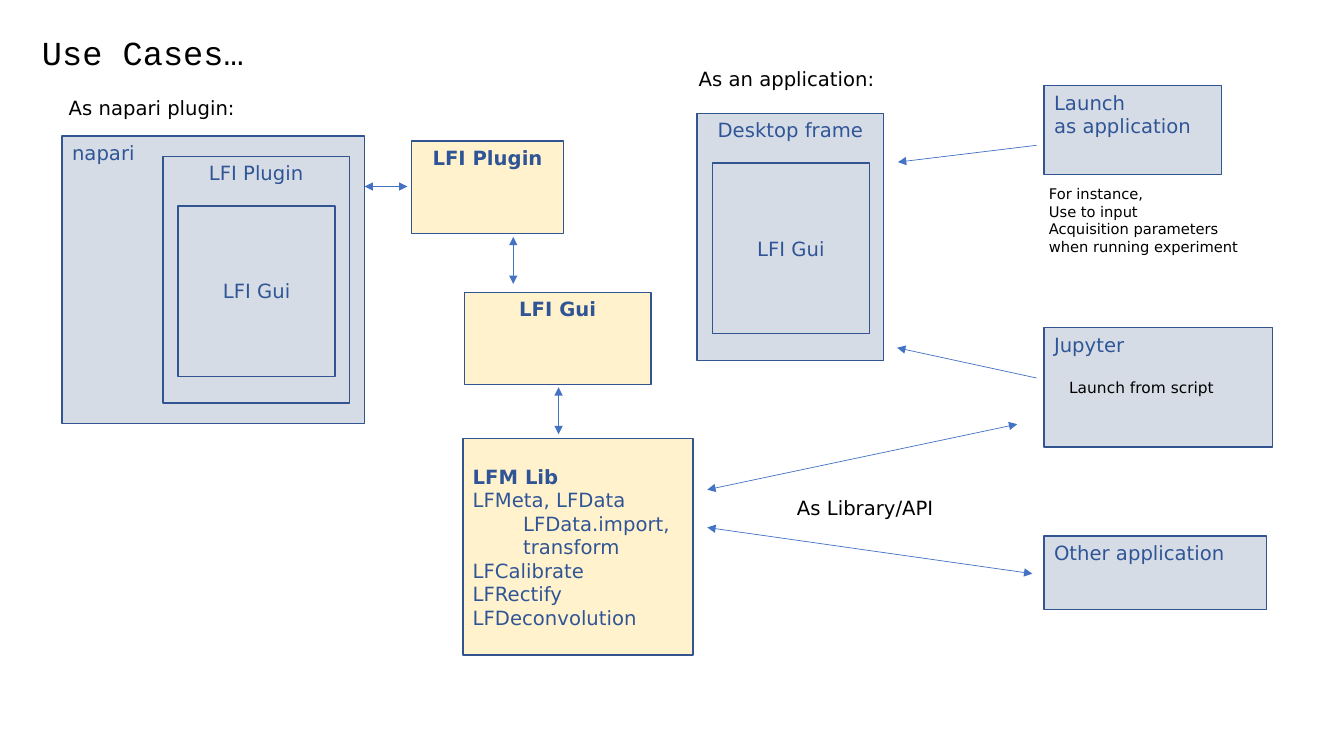
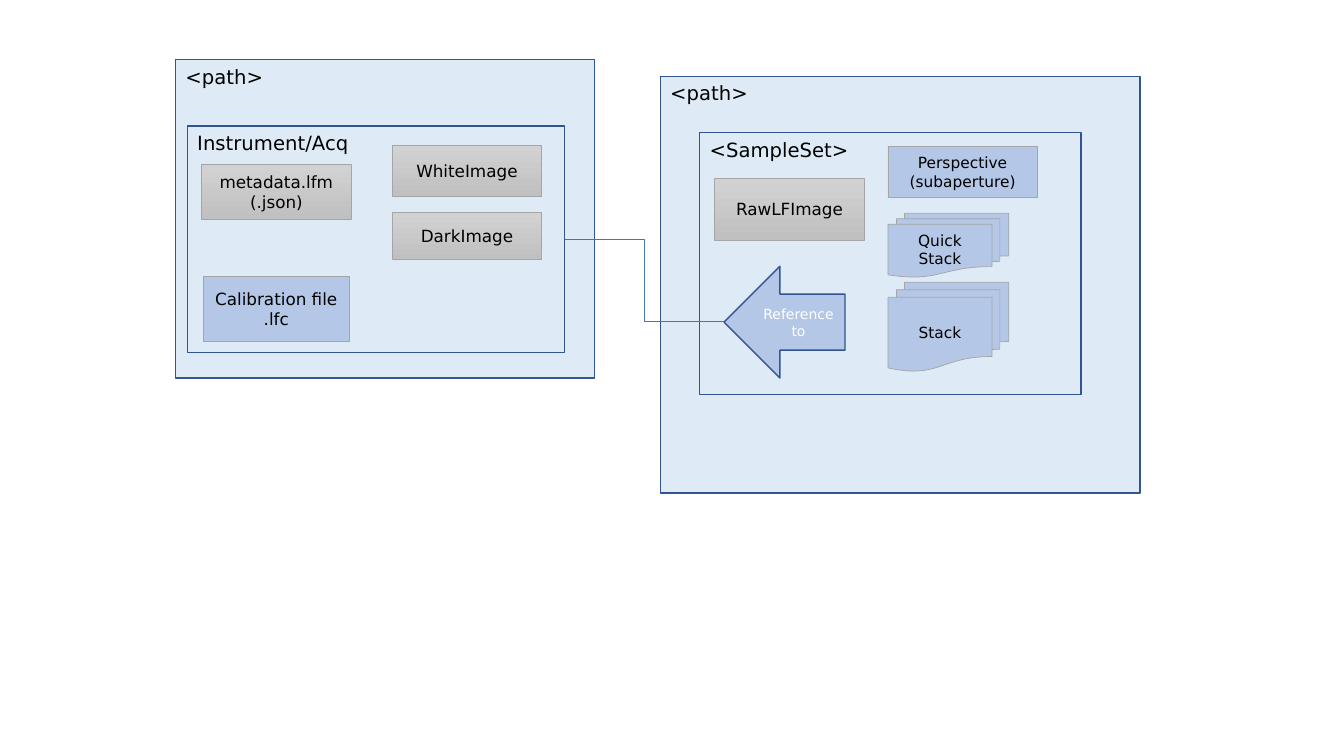
from dataclasses import dataclass

import lxml.etree
import pptx
import pptx.dml.color
import pptx.enum.shapes
import pptx.enum.text
import pptx.oxml.ns
import pptx.presentation
import pptx.shapes.autoshape
import pptx.slide
import pptx.text.text
import pptx.util

SLIDE_WIDTH = pptx.util.Inches(13.33)
SLIDE_HEIGHT = pptx.util.Inches(7.5)
COLUMNS, ROWS = 160, 90

BODY_FONT, TITLE_FONT = "DejaVu Sans", "Courier New"
BLACK, WHITE, NAVY = "000000", "FFFFFF", "2F5597"
OUTLINE, ARROW, CARD_EDGE = "325491", "4472C4", "A5A5A5"
GREY_BLUE, CREAM, PALE_BLUE, MID_BLUE = "D6DCE5", "FFF2CC", "DEEBF7", "B4C7E7"
GREY_GRADIENT = ("D2D2D2", "C0C0C0")

Preset = pptx.enum.shapes.MSO_SHAPE
Link = pptx.enum.shapes.MSO_CONNECTOR
Align = pptx.enum.text.PP_ALIGN
Anchor = pptx.enum.text.MSO_ANCHOR


@dataclass(frozen=True)
class Area:
    """A rectangle in grid columns and rows."""
    column: float
    row: float
    columns: float
    rows: float

    def lengths(self) -> tuple[int, int, int, int]:
        return (across(self.column), down(self.row),
                across(self.columns), down(self.rows))


@dataclass(frozen=True)
class Box:
    text: str
    area: Area
    fill: str | tuple[str, str] | None = GREY_BLUE
    color: str = NAVY
    size: float = 14
    bold: bool = False
    centered: bool = False
    middle: bool = False
    edge: str = OUTLINE
    edge_width: float = 1
    preset: Preset = Preset.RECTANGLE


@dataclass(frozen=True)
class Label:
    text: str
    area: Area
    size: float = 14


@dataclass(frozen=True)
class Arrow:
    start: tuple[float, float]
    end: tuple[float, float]
    heads: tuple[str, ...] = ("headEnd", "tailEnd")
    kind: Link = Link.STRAIGHT


def across(columns: float) -> int:
    return round(SLIDE_WIDTH * columns / COLUMNS)


def down(rows: float) -> int:
    return round(SLIDE_HEIGHT * rows / ROWS)


def rgb(value: str) -> pptx.dml.color.RGBColor:
    return pptx.dml.color.RGBColor.from_string(value)


def write(frame: pptx.text.text.TextFrame, text: str, *, size: float,
          color: str = BLACK, font: str = BODY_FONT, bold: bool = False,
          align: Align = Align.LEFT, anchor: Anchor = Anchor.TOP,
          wrap: bool = True, spacing: float | None = None) -> None:
    """Write one paragraph per line; a leading tab indents the paragraph."""
    frame.word_wrap = wrap
    frame.vertical_anchor = anchor
    for index, line in enumerate(text.split("\n")):
        paragraph = frame.add_paragraph() if index else frame.paragraphs[0]
        paragraph.alignment = align
        paragraph.line_spacing = spacing
        if line.startswith("\t"):
            paragraph.level = 1
            properties = paragraph._p.get_or_add_pPr()
            properties.set("marL", str(pptx.util.Inches(0.5)))
            properties.set("indent", "0")
        run = paragraph.add_run()
        run.text = line.strip("\t")
        run.font.name = font
        run.font.size = pptx.util.Pt(size)
        run.font.bold = bold
        run.font.color.rgb = rgb(color)


def paint(shape: pptx.shapes.autoshape.Shape,
          fill: str | tuple[str, str] | None) -> None:
    if fill is None:
        shape.fill.background()
    elif isinstance(fill, str):
        shape.fill.solid()
        shape.fill.fore_color.rgb = rgb(fill)
    else:
        shape.fill.gradient()
        shape.fill.gradient_angle = 270
        for stop, color in zip(shape.fill.gradient_stops, fill):
            stop.color.rgb = rgb(color)


def draw_box(slide: pptx.slide.Slide, box: Box) -> pptx.shapes.autoshape.Shape:
    shape = slide.shapes.add_shape(box.preset, *box.area.lengths())
    shape.shadow.inherit = False
    paint(shape, box.fill)
    shape.line.color.rgb = rgb(box.edge)
    shape.line.width = pptx.util.Pt(box.edge_width)
    write(shape.text_frame, box.text, size=box.size, color=box.color,
          bold=box.bold, align=Align.CENTER if box.centered else Align.LEFT,
          anchor=Anchor.MIDDLE if box.middle else Anchor.TOP)
    return shape


def draw_label(slide: pptx.slide.Slide, label: Label) -> None:
    frame = slide.shapes.add_textbox(*label.area.lengths()).text_frame
    write(frame, label.text, size=label.size, wrap=False)
    frame.auto_size = pptx.enum.text.MSO_AUTO_SIZE.SHAPE_TO_FIT_TEXT


def draw_arrow(slide: pptx.slide.Slide, arrow: Arrow) -> None:
    (left, top), (right, bottom) = arrow.start, arrow.end
    connector = slide.shapes.add_connector(
        arrow.kind, across(left), down(top), across(right), down(bottom))
    connector.line.color.rgb = rgb(ARROW)
    connector.line.width = pptx.util.Pt(0.5)
    qualified = pptx.oxml.ns.qn
    properties = connector._element.spPr
    line = properties.find(qualified("a:ln"))
    for head in arrow.heads:
        lxml.etree.SubElement(line, qualified(f"a:{head}"), type="triangle")
    lxml.etree.SubElement(properties, qualified("a:effectLst"))


def gui_frame(title: str, column: float, row: float) -> list[Box]:
    """A titled frame that holds the GUI."""
    return [
        Box(title, Area(column, row, 22.2, 29.4), centered=True),
        Box("LFI Gui", Area(column + 1.8, row + 5.9, 18.7, 20.3),
            centered=True, middle=True),
    ]


def module(text: str, area: Area) -> Box:
    return Box(text, area, fill=CREAM, bold=True, centered=True)


def folder(text: str, area: Area, fill: str | None = PALE_BLUE) -> Box:
    return Box(text, area, fill=fill, color=BLACK)


def card(text: str, area: Area, fill: str | tuple[str, str] = GREY_GRADIENT,
         size: float = 12, preset: Preset = Preset.RECTANGLE) -> Box:
    return Box(text, area, fill=fill, color=BLACK, size=size, centered=True,
               middle=True, edge=CARD_EDGE, edge_width=0.5, preset=preset)


CLIENT_COLUMN = 124.3
USE_CASE_BOXES = [
    Box("napari", Area(7.4, 16.2, 36, 34.2)),
    *gui_frame("LFI Plugin", 19.4, 18.6),
    *gui_frame("Desktop frame", 83, 13.5),
    module("LFI Plugin", Area(49, 16.8, 18.1, 11)),
    module("LFI Gui", Area(55.3, 34.8, 22.2, 11)),
    Box("Launch\nas application", Area(CLIENT_COLUMN, 10.2, 21.1, 10.6)),
    Box("Jupyter", Area(CLIENT_COLUMN, 39, 27.2, 14.2)),
    Box("Other application", Area(CLIENT_COLUMN, 63.8, 26.5, 8.8)),
]
LIBRARY = Box(
    "LFM Lib\nLFMeta, LFData\n\tLFData.import, transform\n"
    "LFCalibrate\nLFRectify\nLFDeconvolution",
    Area(55.1, 52.2, 27.4, 25.8), fill=CREAM, middle=True)
USE_CASE_LABELS = [
    Label("As napari plugin:", Area(7, 10.8, 22.7, 4.1)),
    Label("As an application:", Area(82, 7.4, 23.6, 4.1)),
    Label("As Library/API", Area(93.7, 58.4, 19.4, 4.1)),
    Label("For instance,\nUse to input\nAcquisition parameters\n"
          "when running experiment", Area(123.7, 21.4, 25.3, 9.7), 10.5),
    Label("Launch from script", Area(126.1, 44.4, 20.6, 3.5), 11),
]
USE_CASE_ARROWS = [
    Arrow((123.4, 45), (106.8, 41.4), ("tailEnd",)),
    Arrow((123.4, 17.3), (106.9, 19.3), ("tailEnd",)),
    Arrow((84.2, 58.3), (121.1, 50.5)),
    Arrow((84.2, 62.8), (122.9, 68.3)),
    Arrow((66.5, 46.1), (66.5, 51.7)),
    Arrow((61.1, 28.2), (61.1, 33.8)),
    Arrow((48.5, 22.2), (43.4, 22.2)),
]

IMAGE_COLUMN, RESULT_COLUMN, CARD_COLUMNS = 46.7, 105.7, 17.8
FOLDER_BOXES = [
    folder("<path>", Area(78.6, 9.1, 57.1, 49.6)),
    folder("<path>", Area(20.9, 7.1, 49.9, 37.9)),
    folder("Instrument/Acq", Area(22.3, 15, 44.9, 27), fill=None),
    card("metadata.lfm\n(.json)", Area(24, 19.6, CARD_COLUMNS, 6.5)),
    card("WhiteImage", Area(IMAGE_COLUMN, 17.3, CARD_COLUMNS, 6.1)),
    card("DarkImage", Area(IMAGE_COLUMN, 25.3, CARD_COLUMNS, 5.6)),
    card("Calibration file\n.lfc", Area(24.2, 32.9, 17.4, 7.8), MID_BLUE),
    folder("<SampleSet>", Area(83.3, 15.8, 45.4, 31.2)),
    card("RawLFImage", Area(85.1, 21.2, CARD_COLUMNS, 7.4)),
    card("Perspective\n(subaperture)",
         Area(RESULT_COLUMN, 17.4, CARD_COLUMNS, 6.1), MID_BLUE, 11),
    card("Stack", Area(RESULT_COLUMN, 33.6, 14.4, 10.6), MID_BLUE, 11,
         Preset.FLOWCHART_MULTIDOCUMENT),
    card("Quick Stack", Area(RESULT_COLUMN, 25.4, 14.4, 7.6), MID_BLUE, 11,
         Preset.FLOWCHART_MULTIDOCUMENT),
    Box("Reference to", Area(86.2, 31.7, 14.4, 13.3), fill=MID_BLUE,
        color=WHITE, size=10, centered=True, middle=True,
        preset=Preset.LEFT_ARROW),
]
REFERENCE = Arrow((86.2, 38.3), (67.3, 28.5), (), Link.ELBOW)


def add_use_cases(presentation: pptx.presentation.Presentation) -> None:
    slide = presentation.slides.add_slide(presentation.slide_layouts[5])
    title = slide.shapes.title
    title.left, title.top, title.width, title.height = Area(
        3.8, 2.9, 68.9, 7.2).lengths()
    write(title.text_frame, "Use Cases…", size=24, font=TITLE_FONT,
          anchor=Anchor.MIDDLE, spacing=0.9)
    for box in USE_CASE_BOXES:
        draw_box(slide, box)
    library = draw_box(slide, LIBRARY)
    library.text_frame.paragraphs[0].runs[0].font.bold = True
    for label in USE_CASE_LABELS:
        draw_label(slide, label)
    for arrow in USE_CASE_ARROWS:
        draw_arrow(slide, arrow)


def add_folders(presentation: pptx.presentation.Presentation) -> None:
    slide = presentation.slides.add_slide(presentation.slide_layouts[6])
    for box in FOLDER_BOXES:
        draw_box(slide, box)
    draw_arrow(slide, REFERENCE)


def main() -> None:
    presentation = pptx.Presentation()
    presentation.slide_width = SLIDE_WIDTH
    presentation.slide_height = SLIDE_HEIGHT
    add_use_cases(presentation)
    add_folders(presentation)
    presentation.save("out.pptx")


if __name__ == "__main__":
    main()
